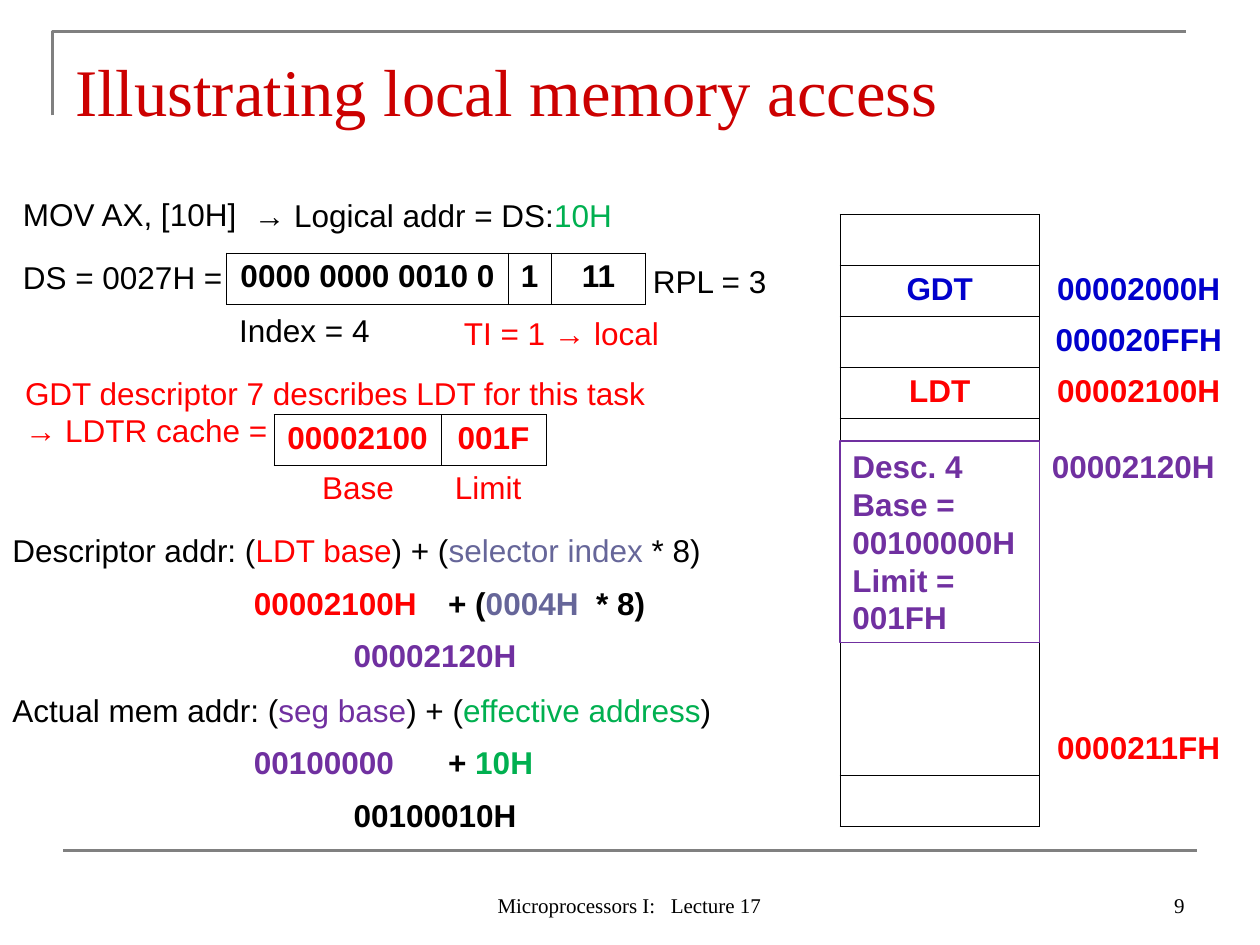
from dataclasses import dataclass

from lxml.etree import SubElement
from pptx import Presentation
from pptx.dml.color import RGBColor
from pptx.enum.shapes import MSO_CONNECTOR as Connector, MSO_SHAPE as Shape
from pptx.enum.text import MSO_ANCHOR as Anchor, PP_ALIGN as Align
from pptx.oxml.ns import qn
from pptx.util import Inches, Pt


@dataclass(frozen=True)
class Theme:
    body_font: str = "Arial"
    title_font: str = "Times New Roman"
    title_size: float = 38
    body_size: float = 18
    footer_size: float = 12
    rule_width: float = 1.5
    box_width: float = 0.75
    cell_width: float = 0.45
    black: str = "000000"
    gray: str = "808080"
    title: str = "CC0000"
    red: str = "FF0000"
    blue: str = "0000CC"
    green: str = "00B050"
    purple: str = "7030A0"
    slate: str = "666699"
    plain_table: str = "{2D5ABB26-0587-4C30-8999-92F81FD0307C}"


def rgb(color):
    return RGBColor.from_string(color)


def grid(*cells):
    return [Inches(cell / 12) for cell in cells]


class SlideBuilder:
    def __init__(self, page, theme):
        self.page = page
        self.theme = theme

    def set_para(self, para, content, color=None, size=None, font=None,
                 bold=False, align=Align.LEFT, tab=None):
        para.alignment = align
        if tab:
            tabs = SubElement(para._p.get_or_add_pPr(), qn("a:tabLst"))
            stop, = grid(tab)
            SubElement(tabs, qn("a:tab"), pos=str(stop), algn="l")
        para.font.name = font or self.theme.body_font
        para.font.size = Pt(size or self.theme.body_size)
        para.font.bold = bold
        base = color or self.theme.black
        para.font.color.rgb = rgb(base)
        spans = [(content, base)] if isinstance(content, str) else content
        for text, span_color in spans:
            span = para.add_run()
            span.text = text
            if span_color != base:
                span.font.color.rgb = rgb(span_color)

    def fill_frame(self, frame, lines, anchor=Anchor.TOP, **style):
        frame.word_wrap = True
        frame.vertical_anchor = anchor
        for index, line in enumerate(lines):
            para = frame.add_paragraph() if index else frame.paragraphs[0]
            self.set_para(para, line, **style)

    def text(self, column, row, width, *lines, height=4.8, **style):
        box = self.page.shapes.add_textbox(*grid(column, row, width, height))
        self.fill_frame(box.text_frame, lines, **style)

    def outlined(self, column, row, width, height, *lines, color):
        box = self.page.shapes.add_shape(
            Shape.RECTANGLE, *grid(column, row, width, height))
        box.shadow.inherit = False
        box.fill.background()
        self.stroke(box, color, self.theme.box_width)
        self.fill_frame(box.text_frame, lines, color=color, bold=True)

    def stroke(self, shape, color, width):
        shape.line.color.rgb = rgb(color)
        shape.line.width = Pt(width)

    def rule(self, *ends):
        line = self.page.shapes.add_connector(Connector.STRAIGHT, *grid(*ends))
        self.stroke(line, self.theme.gray, self.theme.rule_width)
        SubElement(line._element.spPr, qn("a:effectLst"))

    def corner(self, *points):
        start, *rest = [grid(*point) for point in points]
        builder = self.page.shapes.build_freeform(*start)
        builder.add_line_segments(rest, close=False)
        frame = builder.convert_to_shape()
        frame.shadow.inherit = False
        frame.fill.background()
        self.stroke(frame, self.theme.gray, self.theme.rule_width)

    def border(self, cell, edges):
        properties = cell._tc.get_or_add_tcPr()
        for edge in edges:
            line = SubElement(properties, qn(f"a:ln{edge}"),
                              w=str(Pt(self.theme.cell_width)))
            fill = SubElement(line, qn("a:solidFill"))
            SubElement(fill, qn("a:srgbClr"), val=self.theme.black)

    def table(self, column, row, widths, height, rows, edges=None):
        count = len(rows)
        table = self.page.shapes.add_table(
            count, len(widths),
            *grid(column, row, sum(widths), height * count)).table
        table.first_row = table.horz_banding = False
        style = table._tbl.tblPr.find(qn("a:tableStyleId"))
        style.text = self.theme.plain_table
        for index, width in enumerate(grid(*widths)):
            table.columns[index].width = width
        for y, (color, *values) in enumerate(rows):
            for x, value in enumerate(values):
                cell = table.cell(y, x)
                self.border(cell, edges[y][x] if edges else "LRTB")
                cell.fill.background()
                self.set_para(cell.text_frame.paragraphs[0], value, color=color,
                              bold=True, align=Align.CENTER)


def main():
    theme = Theme()
    deck = Presentation()
    deck.slide_width, deck.slide_height = grid(120, 90)
    slide = SlideBuilder(deck.slides.add_slide(deck.slide_layouts[6]), theme)
    black, red, purple = theme.black, theme.red, theme.purple

    slide.corner((5, 11), (5, 3), (113, 3))
    slide.rule(6, 81, 114, 81)
    slide.text(6, 3.6, 108, "Illustrating local memory access", height=9.4,
               color=theme.title, size=theme.title_size,
               font=theme.title_font, anchor=Anchor.BOTTOM)
    footer = dict(height=6, size=theme.footer_size, font=theme.title_font,
                  anchor=Anchor.BOTTOM)
    slide.text(46.2, 82, 32, "Microprocessors I:\tLecture 17", tab=16.5, **footer)
    slide.text(86, 82, 28, "9", align=Align.RIGHT, **footer)

    slide.text(1, 18, 24, "MOV AX, [10H]")
    slide.text(23, 18.1, 37,
               [("→ Logical addr = DS:", black), ("10H", theme.green)])
    slide.text(1, 24, 22, "DS = 0027H =")
    slide.table(21.6, 24.1, [26.8, 4.1, 9], 4.86,
                [(black, "0000 0000 0010 0", "1", "11")])
    slide.text(61, 24.4, 16, "RPL = 3")
    slide.text(21.6, 29, 16, "Index = 4")
    slide.text(43, 29.3, 27, "TI = 1 → local", color=red)

    slide.text(1.2, 35, 74, "GDT descriptor 7 describes LDT for this task",
               "→ LDTR cache =", height=8.4, color=red)
    slide.table(26.1, 39.5, [15.9, 10], 4.86, [(red, "00002100", "001F")])
    slide.text(29.5, 44, 23, "Base\tLimit", color=red, tab=12.65)

    slide.text(0, 50, 72, [
        ("Descriptor addr: (", black), ("LDT base", red), (") + (", black),
        ("selector index ", theme.slate), ("* 8)", black)])
    slide.text(0, 65.2, 72, [
        ("Actual mem addr: (", black), ("seg base", purple), (") + (", black),
        ("effective address", theme.green), (")", black)])
    offset = [("+ (", black), ("0004H", theme.slate), ("\t* 8)", black)]
    address = [("+ ", black), ("10H", theme.green)]
    sums = [(55, "00002100H", red, offset, "00002120H", purple),
            (70.2, "00100000", purple, address, "00100010H", black)]
    for row, base, base_color, addend, total, total_color in sums:
        slide.text(23, row, 18.5, base, color=base_color, bold=True)
        slide.text(41.5, row, 24.5, addend, bold=True, tab=14.1)
        slide.text(32.5, row + 5, 18.5, total, color=total_color, bold=True)

    empty = (black, "", "")
    memory = [empty, (theme.blue, "GDT", "00002000H"),
              (theme.blue, "", "000020FFH"), (red, "LDT", "00002100H"),
              *[empty] * 6, (red, "", "0000211FH"), empty]
    sides = ["LRTB", "LRT", "LRB", "LRT", *["LR"] * 6, "LRB", "LRTB"]
    slide.table(80, 20.4, [19, 18.9], 4.86, memory,
                [(side, "") for side in sides])
    slide.outlined(80, 42, 19, 19.2, "Desc. 4", "Base = 00100000H",
                   "Limit =", "001FH", color=purple)
    slide.text(99, 42, 18.5, "00002120H", color=purple, bold=True)

    deck.save("out.pptx")


if __name__ == "__main__":
    main()
